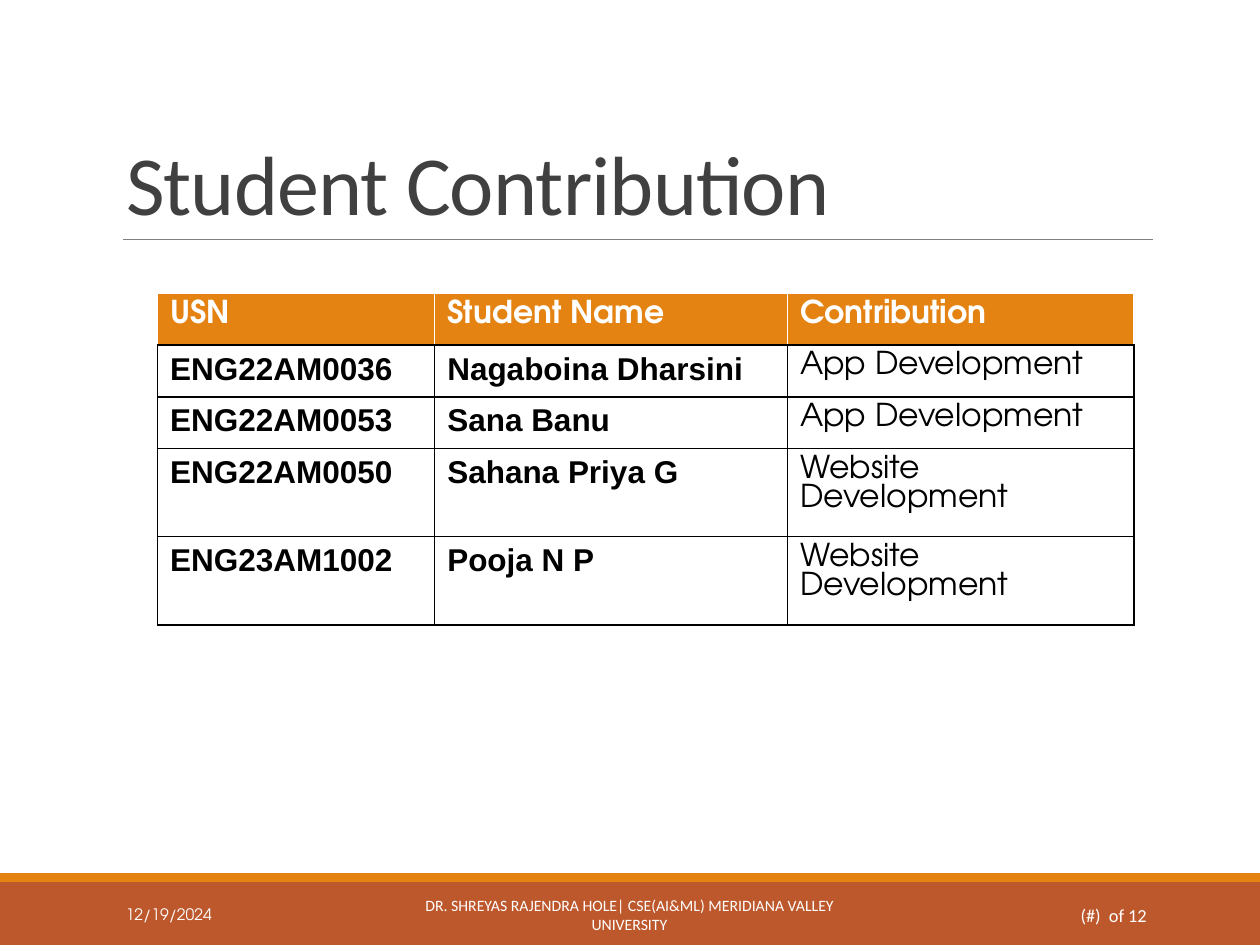
"""Build the student contribution slide with its table and footer band."""
from lxml import etree
from pptx import Presentation
from pptx.dml.color import RGBColor
from pptx.enum.shapes import MSO_CONNECTOR, MSO_SHAPE
from pptx.enum.text import MSO_ANCHOR, MSO_AUTO_SIZE, PP_ALIGN
from pptx.oxml.ns import qn
from pptx.util import Inches, Pt

LEFT, CENTER, RIGHT = PP_ALIGN.LEFT, PP_ALIGN.CENTER, PP_ALIGN.RIGHT
BOTTOM, MIDDLE = MSO_ANCHOR.BOTTOM, MSO_ANCHOR.MIDDLE
NO_FIT = MSO_AUTO_SIZE.NONE
RECTANGLE, STRAIGHT = MSO_SHAPE.RECTANGLE, MSO_CONNECTOR.STRAIGHT

WHITE = RGBColor(0xFF, 0xFF, 0xFF)
BLACK = RGBColor(0, 0, 0)
ORANGE = RGBColor(0xE4, 0x83, 0x12)
RUST = RGBColor(0xBD, 0x58, 0x2C)
CHARCOAL = RGBColor(0x40, 0x40, 0x40)
GRAY = RGBColor(0x80, 0x80, 0x80)
GEOMETRIC, SANS, BODY = "TeX Gyre Adventor", "Arial", "Calibri"

WIDTH, HEIGHT = 10, 7.5
TITLE = "Student Contribution"
TABLE_ROWS = [
    ("USN", "Student Name", "Contribution"),
    ("ENG22AM0036", "Nagaboina Dharsini", "App Development"),
    ("ENG22AM0053", "Sana Banu", "App Development"),
    ("ENG22AM0050", "Sahana Priya G", "Website Development"),
    ("ENG23AM1002", "Pooja N P", "Website Development"),
]
COLUMN_WIDTHS = (2.2, 2.8, 2.75)
ROW_HEIGHTS = (0.41, 0.41, 0.41, 0.57, 0.57)
BANDS = [(7, 0.5, RUST), (6.93, 0.07, ORANGE)]
FOOTERS = [
    (0.9, 2.03, "12/19/2024", GEOMETRIC, 9, LEFT),
    (3.02, 3.95, "DR. SHREYAS RAJENDRA HOLE| CSE(AI&ML) MERIDIANA VALLEY UNIVERSITY",
     BODY, 9, CENTER),
    (8.12, 1.08, "(#)  of 12", BODY, 10.5, RIGHT),
]


def style_text(frame, text, font, size, color, bold=False, align=LEFT):
    frame.text = text
    para = frame.paragraphs[0]
    para.alignment = align
    span = para.runs[0]
    span.font.name, span.font.size, span.font.bold = font, Pt(size), bold
    span.font.color.rgb = color
    return para


def add_bands(slide):
    for top, height, color in BANDS:
        band = slide.shapes.add_shape(
            RECTANGLE, 0, Inches(top), Inches(WIDTH), Inches(height))
        band.shadow.inherit = False
        band.fill.solid()
        band.fill.fore_color.rgb = color
        band.line.fill.background()


def add_title(slide):
    rule = slide.shapes.add_connector(
        STRAIGHT, Inches(0.98), Inches(1.9), Inches(9.15), Inches(1.9))
    rule.line.color.rgb, rule.line.width = GRAY, Pt(0.5)
    etree.SubElement(rule._element.spPr, qn("a:effectLst"))
    title = slide.shapes.title
    title.left, title.top = Inches(0.9), Inches(0.31)
    title.width, title.height = Inches(8.25), Inches(1.59)
    frame = title.text_frame
    frame.vertical_anchor, frame.auto_size = BOTTOM, NO_FIT
    para = style_text(frame, TITLE, BODY, 48, CHARCOAL)
    para.line_spacing = 0.85
    para.runs[0].font._element.set("spc", "-50")


def add_footers(slide):
    for left, width, text, font, size, align in FOOTERS:
        box = slide.shapes.add_textbox(
            Inches(left), Inches(7.06), Inches(width), Inches(0.4))
        frame = box.text_frame
        frame.word_wrap, frame.vertical_anchor = True, MIDDLE
        style_text(frame, text, font, size, WHITE, align=align)


def set_borders(cell, colors):
    properties = cell._tc.get_or_add_tcPr()
    for index, (side, color) in enumerate(colors.items()):
        line = etree.Element(qn(f"a:ln{side}"), w=str(Pt(1)))
        fill = etree.SubElement(line, qn("a:solidFill"))
        etree.SubElement(fill, qn("a:srgbClr"), val=str(color))
        properties.insert(index, line)


def add_student_table(slide):
    table = slide.shapes.add_table(
        len(TABLE_ROWS), len(COLUMN_WIDTHS), Inches(1.25), Inches(2.33),
        Inches(sum(COLUMN_WIDTHS)), Inches(sum(ROW_HEIGHTS))).table
    for column, width in zip(table.columns, COLUMN_WIDTHS):
        column.width = Inches(width)
    for row_index, texts in enumerate(TABLE_ROWS):
        table.rows[row_index].height = Inches(ROW_HEIGHTS[row_index])
        header = row_index == 0
        edge = WHITE if header else BLACK
        for column_index, text in enumerate(texts):
            cell = table.cell(row_index, column_index)
            contribution = column_index == len(texts) - 1
            style_text(cell.text_frame, text,
                       GEOMETRIC if header or contribution else SANS, 18,
                       edge, bold=header or not contribution)
            cell.fill.solid()
            cell.fill.fore_color.rgb = ORANGE if header else WHITE
            set_borders(cell, {"L": edge, "R": edge, "T": edge, "B": BLACK})


def main():
    deck = Presentation()
    deck.slide_width, deck.slide_height = Inches(WIDTH), Inches(HEIGHT)
    slide = deck.slides.add_slide(deck.slide_layouts[5])
    add_bands(slide)
    add_title(slide)
    add_footers(slide)
    add_student_table(slide)
    deck.save("out.pptx")


if __name__ == "__main__":
    main()
